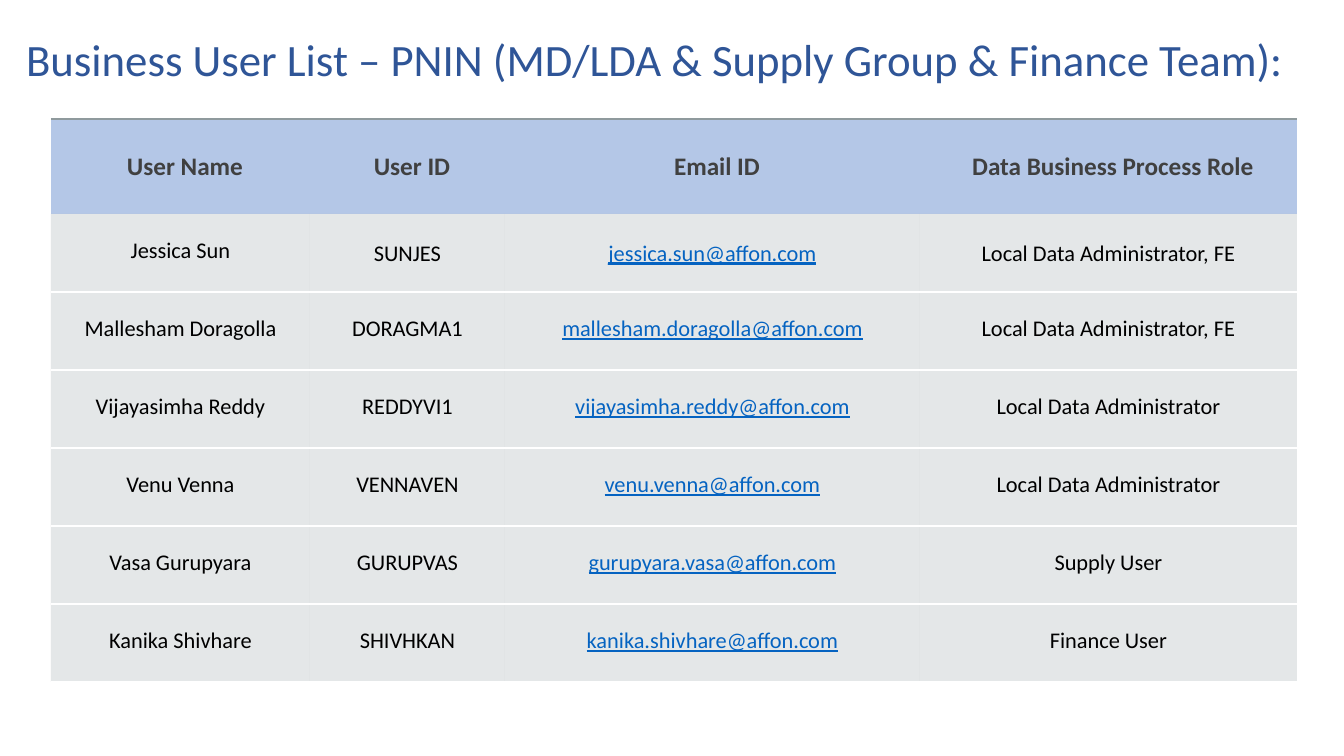
from lxml import etree
from pptx import Presentation
from pptx.dml.color import RGBColor
from pptx.enum.text import MSO_ANCHOR, MSO_AUTO_SIZE, PP_ALIGN
from pptx.oxml.ns import qn
from pptx.util import Pt

TITLE = "Business User List – PNIN (MD/LDA & Supply Group & Finance Team):"
HEADERS = ("User Name", "User ID", "Email ID", "Data Business Process Role")
USERS = [
    ("Jessica Sun", "SUNJES", "jessica.sun@affon.com", "Local Data Administrator, FE"),
    ("Mallesham Doragolla", "DORAGMA1", "mallesham.doragolla@affon.com", "Local Data Administrator, FE"),
    ("Vijayasimha Reddy", "REDDYVI1", "vijayasimha.reddy@affon.com", "Local Data Administrator"),
    ("Venu Venna", "VENNAVEN", "venu.venna@affon.com", "Local Data Administrator"),
    ("Vasa Gurupyara", "GURUPVAS", "gurupyara.vasa@affon.com", "Supply User"),
    ("Kanika Shivhare", "SHIVHKAN", "kanika.shivhare@affon.com", "Finance User"),
]

SLIDE_SIZE = (1344, 756)
TITLE_BOX = (16, 21, 1369, 83)
TABLE_LEFT, TABLE_TOP = 51, 119
COLUMN_WIDTHS = (259, 195, 415, 377)
HEADER_HEIGHT, USER_HEIGHT = 95, 78
HEADER_INSETS = (23, 14, 14, 14)
USER_INSETS = (1, 1, 1, 5)
FLUSH_INSETS = (1, 1, 1, 0)
EMAIL_COLUMN = HEADERS.index("Email ID")

FONT = "Calibri"
TITLE_BLUE = RGBColor(0x2F, 0x55, 0x97)
HEADER_FILL = RGBColor(0xB4, 0xC7, 0xE7)
HEADER_TEXT = RGBColor(0x40, 0x40, 0x40)
HEADER_RULE = RGBColor(0x8F, 0x9A, 0x9D)
USER_FILL = RGBColor(0xB4, 0xBC, 0xBE)
LINK_BLUE = RGBColor(0x05, 0x63, 0xC1)
BLACK = RGBColor(0, 0, 0)
WHITE = RGBColor(255, 255, 255)

CENTER, LEFT = PP_ALIGN.CENTER, PP_ALIGN.LEFT
MIDDLE = MSO_ANCHOR.MIDDLE
NO_AUTOFIT = MSO_AUTO_SIZE.NONE
NO_GRID_STYLE = "{2D5ABB26-0587-4C30-8999-92F81FD0307C}"
EMU_PER_PX = 914400 / 100.8


def px(length):
    return round(length * EMU_PER_PX)


def set_font(paragraph, size, color, bold=False, underline=False):
    font = paragraph.font
    font.name, font.size, font.bold, font.underline = FONT, Pt(size), bold, underline
    font.color.rgb = color


def add_alpha(color_element, percent):
    etree.SubElement(color_element, qn("a:alpha"), val=str(percent * 1000))


def add_border(cell, side, color, alpha=100):
    line = etree.Element(qn(f"a:{side}"), w=str(Pt(1.5)))
    fill = etree.SubElement(line, qn("a:solidFill"))
    add_alpha(etree.SubElement(fill, qn("a:srgbClr"), val=str(color)), alpha)
    cell._tc.get_or_add_tcPr().insert(0, line)


def fill_cell(cell, text, insets, color, alpha=100):
    cell.text = text
    cell.vertical_anchor = MIDDLE
    cell.margin_left, cell.margin_top, cell.margin_right, cell.margin_bottom = map(px, insets)
    cell.fill.solid()
    cell.fill.fore_color.rgb = color
    add_alpha(cell._tc.tcPr.find(".//" + qn("a:srgbClr")), alpha)
    paragraph = cell.text_frame.paragraphs[0]
    paragraph.alignment = CENTER
    return paragraph


def add_title(slide):
    title = slide.shapes.title
    title.left, title.top, title.width, title.height = map(px, TITLE_BOX)
    frame = title.text_frame
    frame.text = TITLE
    frame.auto_size = NO_AUTOFIT
    frame.vertical_anchor = MIDDLE
    paragraph = frame.paragraphs[0]
    paragraph.alignment = LEFT
    paragraph.line_spacing = 0.9
    set_font(paragraph, 32, TITLE_BLUE)


def add_user_table(slide):
    heights = [HEADER_HEIGHT] + [USER_HEIGHT] * len(USERS)
    box = (TABLE_LEFT, TABLE_TOP, sum(COLUMN_WIDTHS), sum(heights))
    table = slide.shapes.add_table(len(heights), len(HEADERS), *map(px, box)).table
    table._tbl.tblPr.find(qn("a:tableStyleId")).text = NO_GRID_STYLE
    table.horz_banding = False
    for column, width in zip(table.columns, COLUMN_WIDTHS):
        column.width = px(width)
    for row, height in zip(table.rows, heights):
        row.height = px(height)

    for column, text in enumerate(HEADERS):
        cell = table.cell(0, column)
        paragraph = fill_cell(cell, text, HEADER_INSETS, HEADER_FILL)
        set_font(paragraph, 18, HEADER_TEXT, bold=True)
        add_border(cell, "lnT", HEADER_RULE, 60)

    for row, user in enumerate(USERS, 1):
        for column, text in enumerate(user):
            cell = table.cell(row, column)
            insets = FLUSH_INSETS if row == 1 and column > 0 else USER_INSETS
            paragraph = fill_cell(cell, text, insets, USER_FILL, 35)
            is_email = column == EMAIL_COLUMN
            set_font(paragraph, 16, LINK_BLUE if is_email else BLACK, underline=is_email)
            add_border(cell, "lnB", WHITE)


def main():
    presentation = Presentation()
    presentation.slide_width, presentation.slide_height = map(px, SLIDE_SIZE)
    slide = presentation.slides.add_slide(presentation.slide_layouts[5])
    add_title(slide)
    add_user_table(slide)
    presentation.save("out.pptx")


if __name__ == "__main__":
    main()
